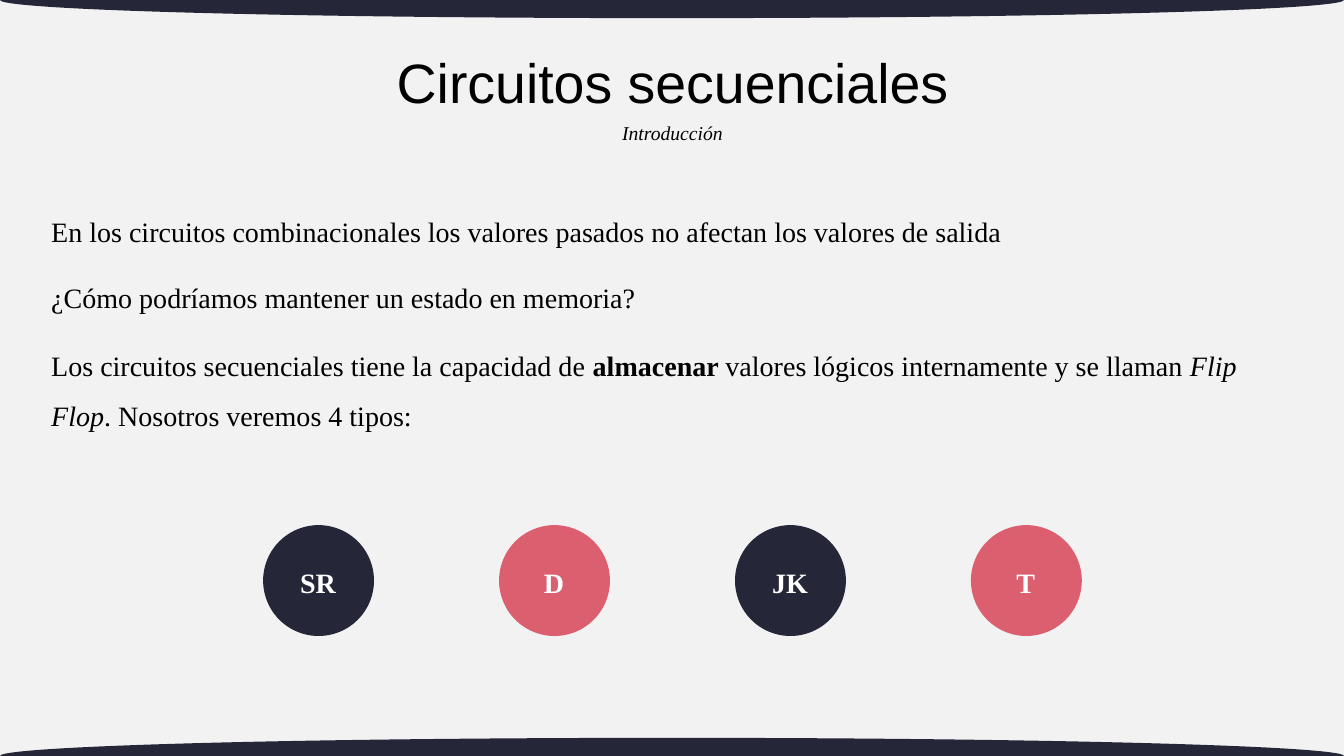
"""Build the introduction slide on sequential circuits."""
from dataclasses import dataclass, field

from pptx import Presentation
from pptx import util as u
from pptx.dml import color
from pptx.enum import shapes, text
from pptx.shapes import autoshape, shapetree


@dataclass(frozen=True)
class Theme:
    """Colours, fonts and type sizes of the slide."""
    background: str = "F2F2F2"
    dark: str = "252738"
    accent: str = "DC5F6F"
    ink: str = "000000"
    white: str = "FFFFFF"
    heading_font: str = "Arial"
    body_font: str = "Times New Roman"
    title_size: float = 39.6
    subtitle_size: float = 14
    body_size: float = 20


THEME = Theme()


@dataclass(frozen=True)
class Box:
    """Position and size in inches."""
    left: float
    top: float
    width: float
    height: float

    def lengths(self) -> list[u.Length]:
        """Return the four values as lengths."""
        return [u.Inches(value) for value in (self.left, self.top, self.width, self.height)]


@dataclass(frozen=True)
class Run:
    """A piece of text with its emphasis."""
    words: str
    bold: bool = False
    italic: bool = False


@dataclass(frozen=True)
class Style:
    """Look of one text box."""
    size: float = THEME.body_size
    font: str = THEME.body_font
    ink: str = THEME.ink
    padding: float = 0.1
    anchor: text.MSO_ANCHOR = text.MSO_ANCHOR.TOP
    paragraph: dict = field(default_factory=dict)


@dataclass(frozen=True)
class Label:
    """A text box to draw."""
    box: Box
    runs: tuple[Run, ...]
    style: Style


@dataclass(frozen=True)
class Badge:
    """A flip-flop type in a coloured circle."""
    name: str
    fill: str


CENTERED = {"alignment": text.PP_ALIGN.CENTER}
TITLE = Style(THEME.title_size, THEME.heading_font, padding=0.05,
              anchor=text.MSO_ANCHOR.MIDDLE, paragraph={**CENTERED, "line_spacing": 0.9})
SUBTITLE = Style(THEME.subtitle_size, padding=0.05, paragraph=CENTERED)
BODY = Style(paragraph={"alignment": text.PP_ALIGN.LEFT, "line_spacing": 1.5})
BADGE = Style(ink=THEME.white, paragraph=CENTERED)

LABELS = (
    Label(Box(3.51, 0.38, 6.32, 0.94), (Run("Circuitos secuenciales"),), TITLE),
    Label(Box(4.4, 1.15, 4.54, 0.34), (Run("Introducción", italic=True),), SUBTITLE),
    Label(Box(0.41, 1.86, 12.37, 0.56),
          (Run("En los circuitos combinacionales los valores pasados no afectan "
               "los valores de salida"),), BODY),
    Label(Box(0.41, 2.52, 12.37, 0.56),
          (Run("¿Cómo podríamos mantener un estado en memoria?"),), BODY),
    Label(Box(0.41, 3.19, 12.37, 1.08),
          (Run("Los circuitos secuenciales tiene la capacidad de "),
           Run("almacenar ", bold=True),
           Run("valores lógicos internamente y se llaman "),
           Run("Flip Flop", italic=True),
           Run(". Nosotros veremos 4 tipos:")), BODY),
)
BADGES = (Badge("SR", THEME.dark), Badge("D", THEME.accent),
          Badge("JK", THEME.dark), Badge("T", THEME.accent))
BADGE_LEFT, BADGE_TOP, BADGE_STEP, DIAMETER = 2.61, 5.21, 2.34, 1.1
SLIDE_WIDTH, SLIDE_HEIGHT, EDGE_DEPTH = 13.33, 7.5, 0.18


def set_values(target: object, values: dict) -> None:
    """Set each named attribute on the target."""
    for name, value in values.items():
        setattr(target, name, value)


def add_ellipse(parent: shapetree._BaseGroupShapes, box: Box, fill: str) -> autoshape.Shape:
    """Add a plain filled ellipse."""
    shape = parent.add_shape(shapes.MSO_SHAPE.OVAL, *box.lengths())
    shape.shadow.inherit = False
    shape.fill.solid()
    shape.fill.fore_color.rgb = color.RGBColor.from_string(fill)
    shape.line.fill.background()
    return shape


def add_label(parent: shapetree._BaseGroupShapes, label: Label) -> autoshape.Shape:
    """Add a one-paragraph text box."""
    style = label.style
    shape = parent.add_textbox(*label.box.lengths())
    set_values(shape.text_frame, {
        "word_wrap": True,
        "vertical_anchor": style.anchor,
        "margin_left": u.Inches(0.1),
        "margin_right": u.Inches(0.1),
        "margin_top": u.Inches(style.padding),
        "margin_bottom": u.Inches(style.padding),
    })
    paragraph = shape.text_frame.paragraphs[0]
    set_values(paragraph, style.paragraph)
    for piece in label.runs:
        run = paragraph.add_run()
        run.text = piece.words
        set_values(run.font, {"name": style.font, "size": u.Pt(style.size),
                              "bold": piece.bold, "italic": piece.italic})
        run.font.color.rgb = color.RGBColor.from_string(style.ink)
    return shape


def add_badge(parent: shapetree._BaseGroupShapes, badge: Badge, left: float) -> None:
    """Add a grouped circle and its name."""
    group = parent.add_group_shape()
    add_ellipse(group.shapes, Box(left, BADGE_TOP, DIAMETER, DIAMETER), badge.fill)
    name_box = Box(left + 0.23, BADGE_TOP + 0.3, 0.63, 0.47)
    add_label(group.shapes, Label(name_box, (Run(badge.name, bold=True),), BADGE))


def main() -> None:
    """Draw and save the slide."""
    presentation = Presentation()
    set_values(presentation, {"slide_width": u.Inches(SLIDE_WIDTH),
                              "slide_height": u.Inches(SLIDE_HEIGHT)})
    slide = presentation.slides.add_slide(presentation.slide_layouts[6])
    slide.background.fill.solid()
    slide.background.fill.fore_color.rgb = color.RGBColor.from_string(THEME.background)
    for edge in (0, SLIDE_HEIGHT):
        add_ellipse(slide.shapes, Box(0, edge - EDGE_DEPTH, SLIDE_WIDTH, 2 * EDGE_DEPTH),
                    THEME.dark)
    for label in LABELS:
        add_label(slide.shapes, label)
    for index, badge in enumerate(BADGES):
        add_badge(slide.shapes, badge, BADGE_LEFT + index * BADGE_STEP)
    presentation.save("out.pptx")


if __name__ == "__main__":
    main()
